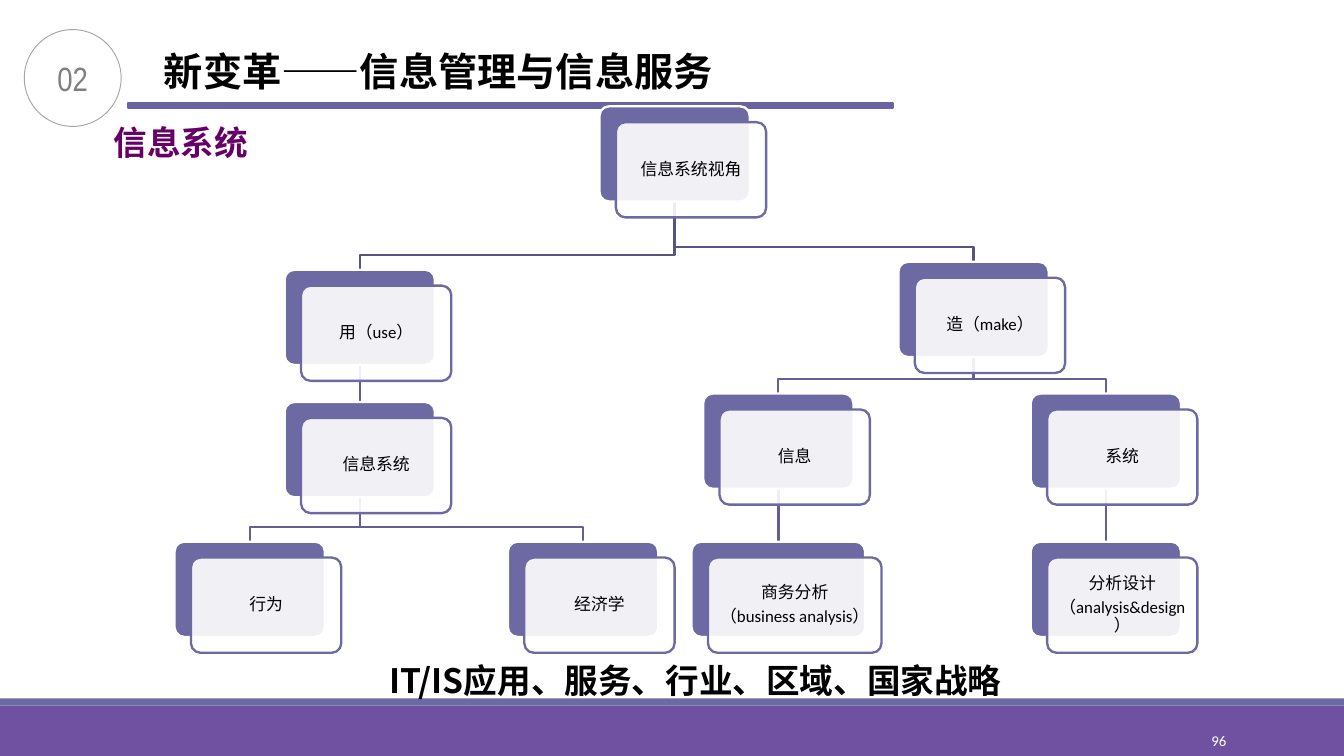
from dataclasses import dataclass
from lxml.etree import SubElement
from pptx import Presentation
from pptx.dml.color import RGBColor
from pptx.enum.shapes import MSO_CONNECTOR, MSO_SHAPE
from pptx.enum.text import MSO_ANCHOR, PP_ALIGN
from pptx.oxml.ns import qn
from pptx.util import Cm, Pt


@dataclass
class Theme:
    white: str = "FFFFFF"
    black: str = "000000"
    band: str = "7050A0"
    box: str = "6D69A3"
    rule: str = "6964A0"
    trunk: str = "575483"
    branch: str = "635F94"
    ring: str = "A6A6A6"
    grey: str = "808080"
    plum: str = "660066"
    head: str = "Noto Sans CJK SC"
    body: str = "Calibri"
    thin: str = "Arial Narrow"
    title: float = 21
    large: float = 18
    small: float = 9
    tiny: float = 8
    line: float = 1.25


def draw(kind, place, fill, edge=None, weight=Theme.line):
    shape = slide.shapes.add_shape(kind, *map(Cm, place))
    shape.shadow.inherit = False
    if fill:
        shape.fill.solid()
        shape.fill.fore_color.rgb = RGBColor.from_string(fill)
    else:
        shape.fill.background()
    if edge:
        shape.line.color.rgb = RGBColor.from_string(edge)
        shape.line.width = Pt(weight)
    else:
        shape.line.fill.background()
    return shape


def write(shape, text, face, size, color, align, bold=False, wrap=True, side=0.18, edge=0.1):
    frame = shape.text_frame
    frame.text = text
    frame.word_wrap = wrap
    frame.margin_left = frame.margin_right = Cm(side)
    frame.margin_top = frame.margin_bottom = Cm(edge)
    for part in frame.paragraphs:
        part.alignment = align
        for run in part.runs:
            run.font.size = Pt(size)
            run.font.bold = bold
            run.font.color.rgb = RGBColor.from_string(color)
            run.font.name = face
            SubElement(run.font._element, qn("a:ea")).set("typeface", Theme.head)
    return frame


deck = Presentation()
deck.slide_width, deck.slide_height = Cm(25.4), Cm(14.29)
slide = deck.slides.add_slide(deck.slide_layouts[6])
theme = Theme()

draw(MSO_SHAPE.RECTANGLE, (0, 13.34, 25.4, 0.95), theme.band)
draw(MSO_SHAPE.RECTANGLE, (0, 13.2, 25.4, 0.14), theme.box)
draw(MSO_SHAPE.RECTANGLE, (2.42, 1.95, 14.45, 0.09), theme.rule, theme.rule)
ring = draw(MSO_SHAPE.OVAL, (0.46, 0.56, 1.83, 1.83), None, theme.ring, 0.5)
frame = write(ring, "02", theme.thin, theme.large, theme.grey, PP_ALIGN.CENTER)
frame.vertical_anchor = MSO_ANCHOR.MIDDLE

page = slide.shapes.add_textbox(Cm(20.62), Cm(13.61), Cm(2.74), Cm(0.76))
frame = write(page, "96", theme.body, theme.tiny, theme.white, PP_ALIGN.RIGHT)
frame.vertical_anchor = MSO_ANCHOR.MIDDLE

heads = [
    ("新变革——信息管理与信息服务", (2.92, 0.79, 10.92, 1.09), theme.title, theme.black, PP_ALIGN.LEFT, 0.18, 0.1),
    ("信息系统", (1.9, 2.18, 3.1, 1.02), theme.large, theme.plum, PP_ALIGN.LEFT, 0.25, 0.13),
    ("IT/IS应用、服务、行业、区域、国家战略", (6.91, 12.34, 12.47, 1.02), theme.large, theme.black, PP_ALIGN.CENTER, 0.25, 0.13),
]
for text, place, size, color, align, side, edge in heads:
    label = slide.shapes.add_textbox(*map(Cm, place))
    write(label, text, theme.head, size, color, align, True, False, side, edge)

wide, high = 2.84, 1.8
shift, drop, bend = 0.31, 0.3, 0.28
nodes = {
    "root": (12.75, 2.01, wide, "信息系统视角", None),
    "use": (6.8, 5.1, wide, "用（use）", "root"),
    "make": (18.4, 4.95, wide, "造（make）", "root"),
    "is": (6.8, 7.6, wide, "信息系统", "use"),
    "act": (4.72, 10.24, wide, "行为", "is"),
    "econ": (11.02, 10.24, wide, "经济学", "is"),
    "info": (14.71, 7.44, wide, "信息", "make"),
    "trade": (14.71, 10.24, 3.28, "商务分析\n（business analysis）", "info"),
    "sys": (20.9, 7.44, wide, "系统", "make"),
    "plan": (20.9, 10.24, wide, "分析设计\n（analysis&design）", "sys"),
}

for mid, top, span, text, boss in nodes.values():
    if not boss:
        continue
    start, base = nodes[boss][0], nodes[boss][1] + high
    if start == mid:
        link = slide.shapes.add_connector(MSO_CONNECTOR.STRAIGHT, Cm(mid), Cm(base), Cm(mid), Cm(top))
        SubElement(link._element.spPr, qn("a:effectLst"))
    else:
        trail = slide.shapes.build_freeform(Cm(start), Cm(base))
        turns = [(start, top - bend), (mid, top - bend), (mid, top)]
        trail.add_line_segments([(Cm(x), Cm(y)) for x, y in turns], close=False)
        link = trail.convert_to_shape()
        link.shadow.inherit = False
        link.fill.background()
    link.line.color.rgb = RGBColor.from_string(theme.trunk if boss == "root" else theme.branch)
    link.line.width = Pt(theme.line)

for mid, top, span, text, boss in nodes.values():
    left = mid - span / 2
    back = draw(MSO_SHAPE.ROUNDED_RECTANGLE, (left, top, span, high), theme.box, theme.white)
    front = draw(MSO_SHAPE.ROUNDED_RECTANGLE, (left + shift, top + drop, span, high), theme.white, theme.box)
    back.adjustments[0] = front.adjustments[0] = 0.1
    tint = front._element.spPr.find(qn("a:solidFill"))[0]
    SubElement(tint, qn("a:alpha")).set("val", "90000")
    frame = write(front, text, theme.body, theme.small, theme.black, PP_ALIGN.CENTER, side=0.1)
    frame.vertical_anchor = MSO_ANCHOR.MIDDLE
    for part in frame.paragraphs:
        part.line_spacing = 0.9
        part.space_after = Pt(3)

deck.save("out.pptx")
